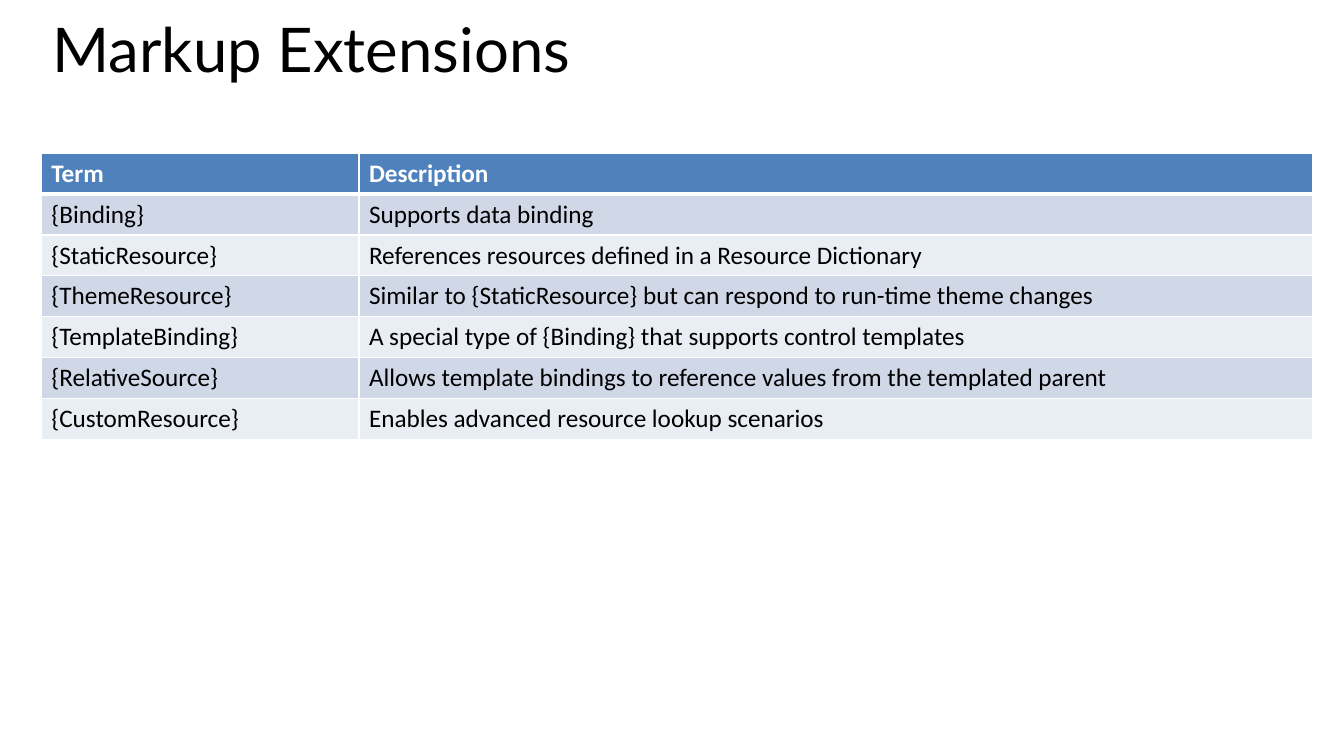
"""Build the Markup Extensions slide: a title above a table of terms."""
from typing import NamedTuple

from lxml import etree
from pptx import Presentation
from pptx import util as u
from pptx.dml.color import RGBColor
from pptx.enum import text
from pptx.oxml import ns


class Entry(NamedTuple):
    term: str
    description: str


class RowStyle(NamedTuple):
    fill: str
    font_color: str
    bold: bool
    top_border: float
    bottom_border: float


ENTRIES = [
    Entry("Term", "Description"),
    Entry("{Binding}", "Supports data binding"),
    Entry("{StaticResource}", "References resources defined in a Resource Dictionary"),
    Entry("{ThemeResource}", "Similar to {StaticResource} but can respond to run-time theme changes"),
    Entry("{TemplateBinding}", "A special type of {Binding} that supports control templates"),
    Entry("{RelativeSource}", "Allows template bindings to reference values from the templated parent"),
    Entry("{CustomResource}", "Enables advanced resource lookup scenarios"),
]
COLUMN_WIDTHS = (3.15, 9.46)
TABLE_HEIGHT = 2.84
BORDER_COLOR = "FFFFFF"


def color(value: str) -> RGBColor:
    return RGBColor.from_string(value)


def row_style(index: int) -> RowStyle:
    if index == 0:
        return RowStyle("4F81BD", "FFFFFF", True, 1, 3)
    fill = "D0D8E8" if index % 2 else "E9EDF4"
    return RowStyle(fill, "000000", False, 3 if index == 1 else 1, 1)


def add_run(paragraph, content: str, font: str, size: float, font_color: str, bold: bool = False) -> None:
    run = paragraph.add_run()
    run.text = content
    run.font.name = font
    run.font.size = u.Pt(size)
    run.font.bold = bold
    run.font.color.rgb = color(font_color)


def add_borders(cell, style: RowStyle) -> None:
    properties = cell._tc.get_or_add_tcPr()
    widths = {"lnL": 1, "lnR": 1, "lnT": style.top_border, "lnB": style.bottom_border}
    for side, width in widths.items():
        line = etree.SubElement(properties, ns.qn(f"a:{side}"), w=str(u.Pt(width)))
        fill = etree.SubElement(line, ns.qn("a:solidFill"))
        etree.SubElement(fill, ns.qn("a:srgbClr"), val=BORDER_COLOR)


def draw_title(slide, content: str) -> None:
    title = slide.shapes.title
    title.left, title.top = u.Inches(0.42), u.Inches(0.2)
    title.width, title.height = u.Inches(12.6), u.Inches(1.16)
    frame = title.text_frame
    frame.word_wrap = True
    frame.auto_size = text.MSO_AUTO_SIZE.NONE
    frame.vertical_anchor = text.MSO_ANCHOR.TOP
    paragraph = frame.paragraphs[0]
    paragraph.alignment = text.PP_ALIGN.LEFT
    paragraph.line_spacing = 0.8
    add_run(paragraph, content, "Lato", 44, "000000")


def draw_table(slide, entries: list[Entry]) -> None:
    table = slide.shapes.add_table(
        len(entries), len(COLUMN_WIDTHS), u.Inches(0.41), u.Inches(1.52),
        u.Inches(sum(COLUMN_WIDTHS)), u.Inches(TABLE_HEIGHT),
    ).table
    for column, width in zip(table.columns, COLUMN_WIDTHS):
        column.width = u.Inches(width)
    for index, entry in enumerate(entries):
        style = row_style(index)
        for cell, content in zip(table.rows[index].cells, entry):
            add_borders(cell, style)
            cell.fill.solid()
            cell.fill.fore_color.rgb = color(style.fill)
            add_run(cell.text_frame.paragraphs[0], content, "Calibri", 18, style.font_color, style.bold)


def main() -> None:
    presentation = Presentation()
    presentation.slide_width = u.Inches(13.33)
    presentation.slide_height = u.Inches(7.5)
    slide = presentation.slides.add_slide(presentation.slide_layouts.get_by_name("Title Only"))
    draw_title(slide, "Markup Extensions")
    draw_table(slide, ENTRIES)
    presentation.save("out.pptx")


if __name__ == "__main__":
    main()
